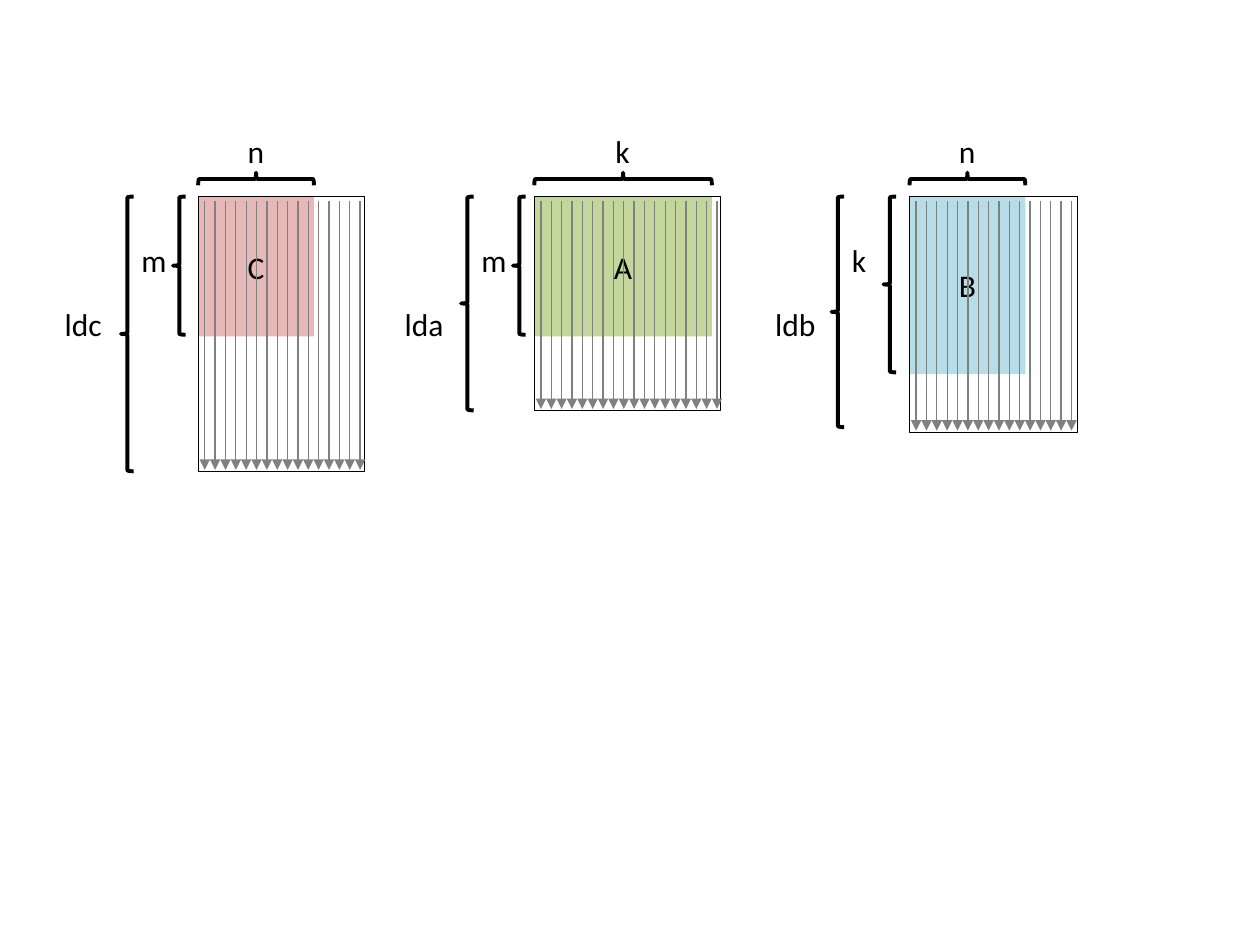
import pptx
import pptx.util
import pptx.dml.color
import pptx.enum.shapes
import pptx.enum.text
import pptx.oxml
import pptx.oxml.ns

Pt = pptx.util.Pt
RGBColor = pptx.dml.color.RGBColor
MSO_SHAPE = pptx.enum.shapes.MSO_SHAPE

BLACK = RGBColor(0x00, 0x00, 0x00)
GRAY = RGBColor(0x80, 0x80, 0x80)
ROSE = RGBColor(0xE6, 0xB9, 0xB8)
GREEN = RGBColor(0xC3, 0xD6, 0x9B)
AQUA = RGBColor(0xB7, 0xDE, 0xE8)

FONT, FONT_SIZE = "Calibri", 18
MATRIX_TOP = 112.3
BRACE_DEPTH = 7.2
COLUMN_PITCH = 5.92
LABEL_HEIGHT = 29
LABEL_WIDTHS = {"ldc": 36, "lda": 36.7, "ldb": 38, "m": 28.8, "n": 23.8, "k": 23}


def style_text(paragraph, wording):
    paragraph.text = wording
    paragraph.font.name = FONT
    paragraph.font.size = Pt(FONT_SIZE)
    paragraph.font.color.rgb = BLACK


def add_preset(slide, preset, left, top, width, height, fill=None, line_width=None):
    preset_shape = slide.shapes.add_shape(
        preset, Pt(left), Pt(top), Pt(width), Pt(height))
    preset_shape.shadow.inherit = False
    if fill is None:
        preset_shape.fill.background()
    else:
        preset_shape.fill.solid()
        preset_shape.fill.fore_color.rgb = fill
    if line_width is None:
        preset_shape.line.fill.background()
    else:
        preset_shape.line.color.rgb = BLACK
        preset_shape.line.width = Pt(line_width)
    return preset_shape


def add_brace(slide, left, top, length):
    return add_preset(slide, MSO_SHAPE.LEFT_BRACE, left, top, BRACE_DEPTH, length,
                      line_width=2.25)


def add_label(slide, wording, left, top):
    label = slide.shapes.add_textbox(
        Pt(left), Pt(top), Pt(LABEL_WIDTHS[wording]), Pt(LABEL_HEIGHT))
    label.text_frame.word_wrap = False
    label.text_frame.auto_size = pptx.enum.text.MSO_AUTO_SIZE.SHAPE_TO_FIT_TEXT
    style_text(label.text_frame.paragraphs[0], wording)


def add_column_arrow(group, x, top, bottom):
    arrow = group.shapes.add_connector(
        pptx.enum.shapes.MSO_CONNECTOR.STRAIGHT, Pt(x), Pt(top), Pt(x), Pt(bottom))
    arrow.line.color.rgb = GRAY
    arrow.line.width = Pt(0.75)
    line_xml = arrow.line._get_or_add_ln()
    line_xml.append(pptx.oxml.parse_xml(
        f'<a:tailEnd {pptx.oxml.ns.nsdecls("a")} type="triangle"/>'))
    line_xml.addnext(pptx.oxml.parse_xml(
        f'<a:effectLst {pptx.oxml.ns.nsdecls("a")}/>'))


def add_matrix(slide, box, block_size, name, color, dimensions, stride, columns):
    """Draw a stored matrix in box, with its used block in the top left corner."""
    left, top, width, height = box
    block_width, block_height = block_size
    row_name, column_name = dimensions
    stride_name, stride_offset, stride_length = stride

    # Used block and whole storage
    block = add_preset(slide, MSO_SHAPE.RECTANGLE, left, top,
                       block_width, block_height, fill=color)
    block.text_frame.vertical_anchor = pptx.enum.text.MSO_ANCHOR.MIDDLE
    block_name = block.text_frame.paragraphs[0]
    style_text(block_name, name)
    block_name.alignment = pptx.enum.text.PP_ALIGN.CENTER
    add_preset(slide, MSO_SHAPE.RECTANGLE, left, top, width, height, line_width=0.5)

    # Leading dimension and row count
    stride_left = left - stride_offset
    add_brace(slide, stride_left, top, stride_length)
    add_label(slide, stride_name, stride_left - 39.3, top + 58.3)
    add_brace(slide, stride_left + 29.7, top, block_height - 1)
    add_label(slide, row_name, stride_left + 4.5, top + 21.6)

    # Column count, with the brace turned to lie above the block
    center = left + block_width / 2
    column_brace = add_brace(slide, center - BRACE_DEPTH / 2,
                             top - 10 - block_width / 2, block_width)
    column_brace.rotation = 90
    add_label(slide, column_name, center - LABEL_WIDTHS[column_name] / 2, top - 40.3)

    # Column-major storage order
    storage_order = slide.shapes.add_group_shape()
    for column in range(columns):
        add_column_arrow(storage_order, left + 3.8 + column * COLUMN_PITCH,
                         top + 2.6, top + height - 0.8)


def main():
    presentation = pptx.Presentation()
    presentation.slide_width = Pt(720)
    presentation.slide_height = Pt(540)
    slide = presentation.slides.add_slide(presentation.slide_layouts[6])

    add_matrix(slide, (113.2, MATRIX_TOP, 95.2, 157), (66.2, 80), "C", ROSE,
               ("m", "n"), ("ldc", 44, 157), columns=16)
    add_matrix(slide, (305.3, MATRIX_TOP, 106.7, 122.2), (101.5, 80), "A", GREEN,
               ("m", "k"), ("lda", 41.8, 122.2), columns=18)
    add_matrix(slide, (519.7, MATRIX_TOP, 96, 134.6), (66.2, 101.5), "B", AQUA,
               ("k", "n"), ("ldb", 44.5, 131.8), columns=16)

    presentation.save("out.pptx")


if __name__ == "__main__":
    main()
